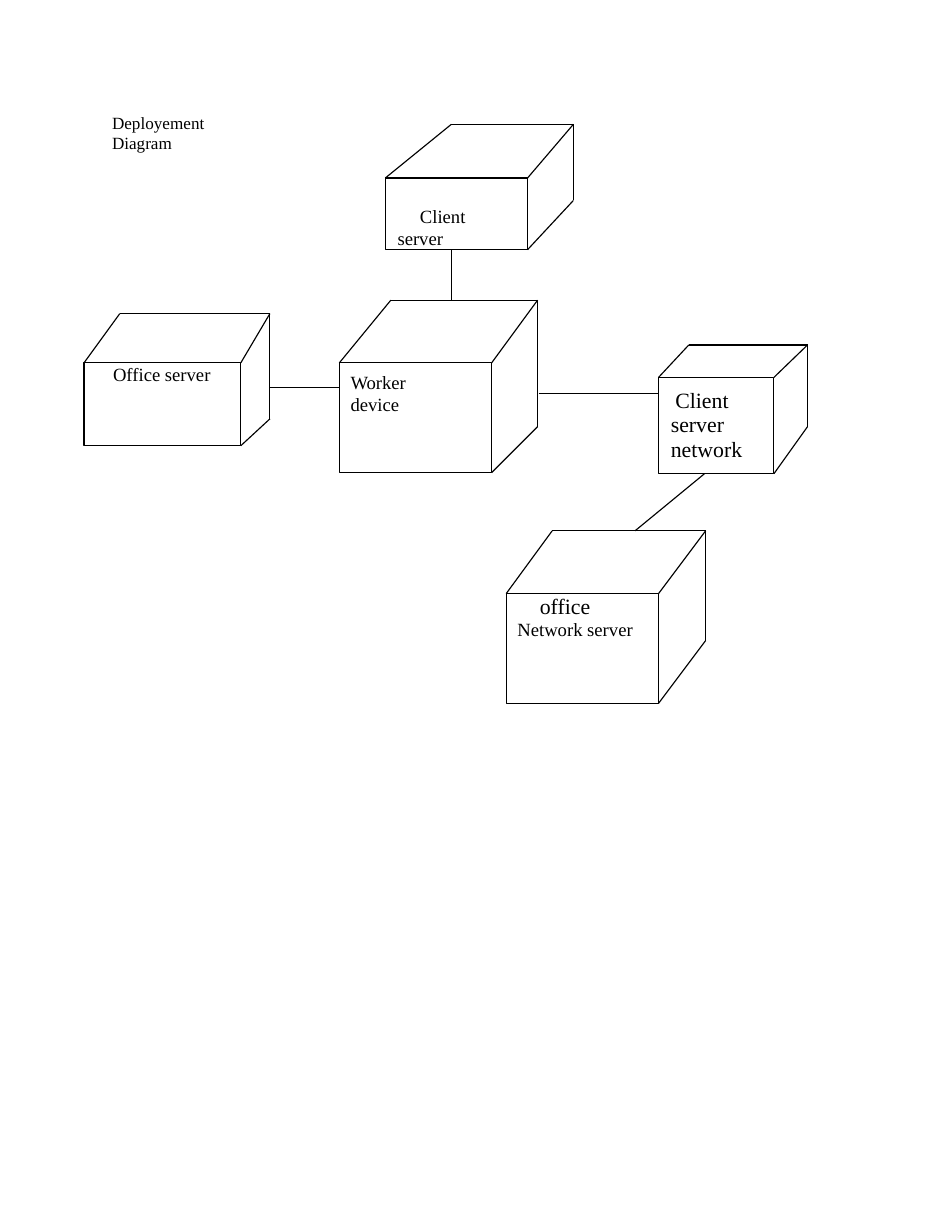
import pptx
import pptx.dml.color
import pptx.enum.shapes
import pptx.enum.text
import pptx.oxml
import pptx.util

Inches, Pt = pptx.util.Inches, pptx.util.Pt
FONT, BLACK = "Times New Roman", "000000"

# front: left, top, width, height; back: left, top, right, bottom
# text: (words, size, left indent, line spacing in points or None)
BOXES = [
    dict(front=(3.44, 1.59, 1.27, 0.64), back=(4.03, 1.11, 5.12, 1.79), text=[]),
    dict(front=(0.75, 3.24, 1.4, 0.74), back=(1.07, 2.8, 2.41, 3.74),
         text=[("Office server", 12, 0.26, None)]),
    dict(front=(3.03, 3.24, 1.36, 0.98), back=(3.49, 2.68, 4.8, 3.81), text=[]),
    dict(front=(5.88, 3.37, 1.03, 0.86), back=(6.15, 3.08, 7.21, 3.81), text=[]),
    dict(front=(4.52, 5.3, 1.36, 0.98), back=(4.93, 4.74, 6.3, 5.72),
         text=[("office", 14, 0.3, 16.4), ("Network server", 12, 0.1, 13.9)]),
]

LINKS = [
    (4.03, 2.23, 4.03, 2.68),  # client server to worker device
    (2.41, 3.46, 3.03, 3.46),  # office server to worker device
    (4.81, 3.51, 5.88, 3.51),  # worker device to client server network
    (6.29, 4.23, 5.67, 4.74),  # client server network to office network server
]

# left, top, width, height, right margin, first line indent, text
LABELS = [
    (0.99, 1, 1.42, 0.18, 0.4, 0, ("Deployement Diagram", 11, 0.01, None)),
    (3.54, 1.84, 0.64, 0.39, 0, 0.2, ("Client server", 12, 0.01, 13.9)),
    (3.12, 3.31, 1.01, 0.19, 0.3, 0, ("Worker device", 12, 0.01, None)),
    (6.02, 3.45, 0.5, 0.22, 0, 0, ("Client", 14, 0.01, None)),
    (5.98, 3.67, 0.5, 0.22, 0, 0, ("server", 14, 0.01, None)),
    (5.98, 3.89, 0.66, 0.22, 0, 0, ("network", 14, 0.01, None)),
]


def color(value):
    return pptx.dml.color.RGBColor.from_string(value)


def style_line(line):
    line.color.rgb = color(BLACK)
    line.width = Pt(0.75)


def write(tf, paragraphs, right=0, first=0):
    tf.margin_left = tf.margin_top = tf.margin_bottom = 0
    tf.margin_right = Inches(right)
    tf.word_wrap = True
    tf.vertical_anchor = pptx.enum.text.MSO_ANCHOR.TOP
    for i, (words, size, left, spacing) in enumerate(paragraphs):
        p = tf.add_paragraph() if i else tf.paragraphs[0]
        p.text = words
        p.alignment = pptx.enum.text.PP_ALIGN.LEFT
        if spacing:
            p.line_spacing = Pt(spacing)
        pPr = p._p.get_or_add_pPr()
        pPr.set("marL", str(Inches(left)))
        pPr.set("indent", str(Inches(first)))
        font = p.runs[0].font
        font.name, font.size = FONT, Pt(size)
        font.color.rgb = color(BLACK)


def add_line(slide, *ends):
    s = slide.shapes.add_connector(
        pptx.enum.shapes.MSO_CONNECTOR.STRAIGHT, *map(Inches, ends))
    style_line(s.line)
    s._element.spPr.append(pptx.oxml.parse_xml(
        '<a:effectLst xmlns:a="http://schemas.openxmlformats.org/drawingml/2006/main"/>'))


def add_box(slide, front, back, text):
    """Draw the front face, then the five visible edges behind it."""
    left, top, width, height = front
    right, bottom = left + width, top + height
    back_left, back_top, back_right, back_bottom = back
    s = slide.shapes.add_shape(
        pptx.enum.shapes.MSO_SHAPE.RECTANGLE, *map(Inches, front))
    s.shadow.inherit = False
    s.fill.background()
    style_line(s.line)
    write(s.text_frame, text)
    add_line(slide, left, top, back_left, back_top)
    add_line(slide, right, top, back_right, back_top)
    add_line(slide, right, bottom, back_right, back_bottom)
    add_line(slide, back_left, back_top, back_right, back_top)
    add_line(slide, back_right, back_top, back_right, back_bottom)


def main():
    prs = pptx.Presentation()
    prs.slide_width, prs.slide_height = Inches(8.5), Inches(11)
    slide = prs.slides.add_slide(prs.slide_layouts[6])
    for box in BOXES:
        add_box(slide, **box)
    for link in LINKS:
        add_line(slide, *link)
    for *place, right, first, text in LABELS:
        s = slide.shapes.add_textbox(*map(Inches, place))
        write(s.text_frame, [text], right, first)
    prs.save("out.pptx")


if __name__ == "__main__":
    main()
